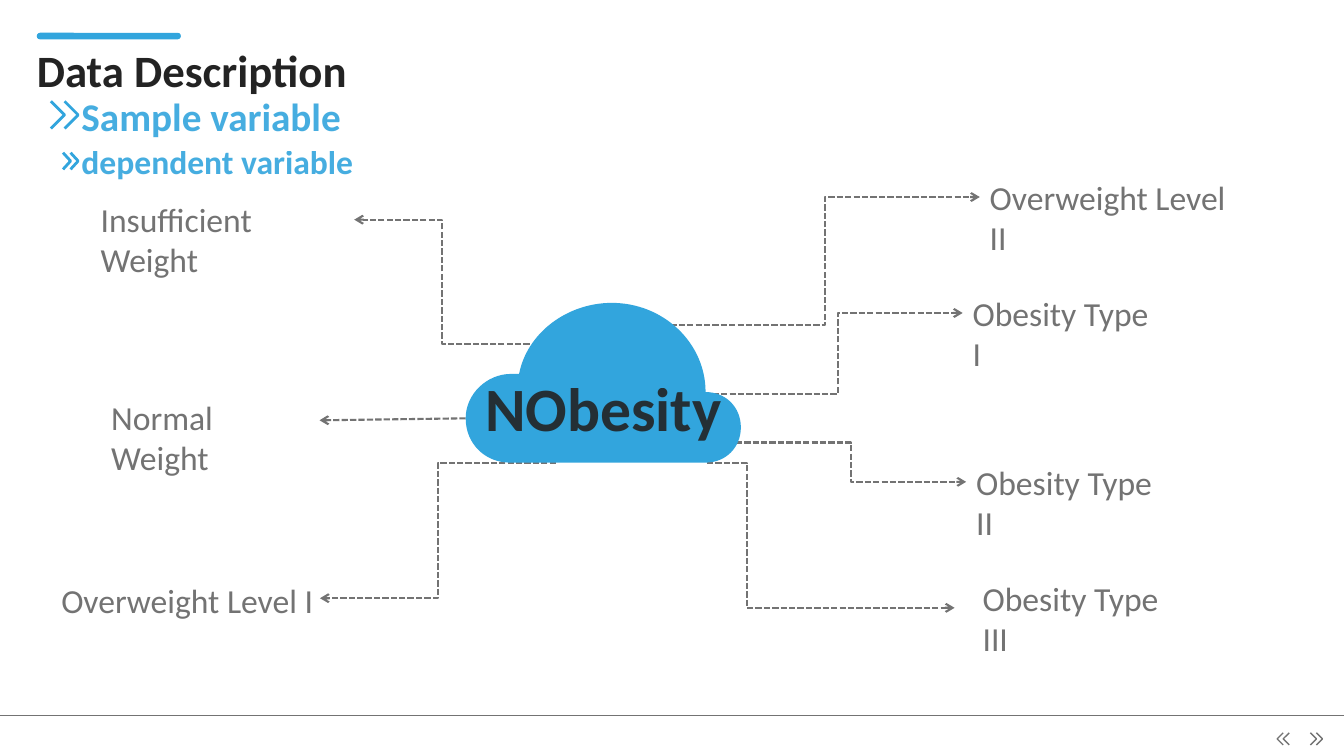
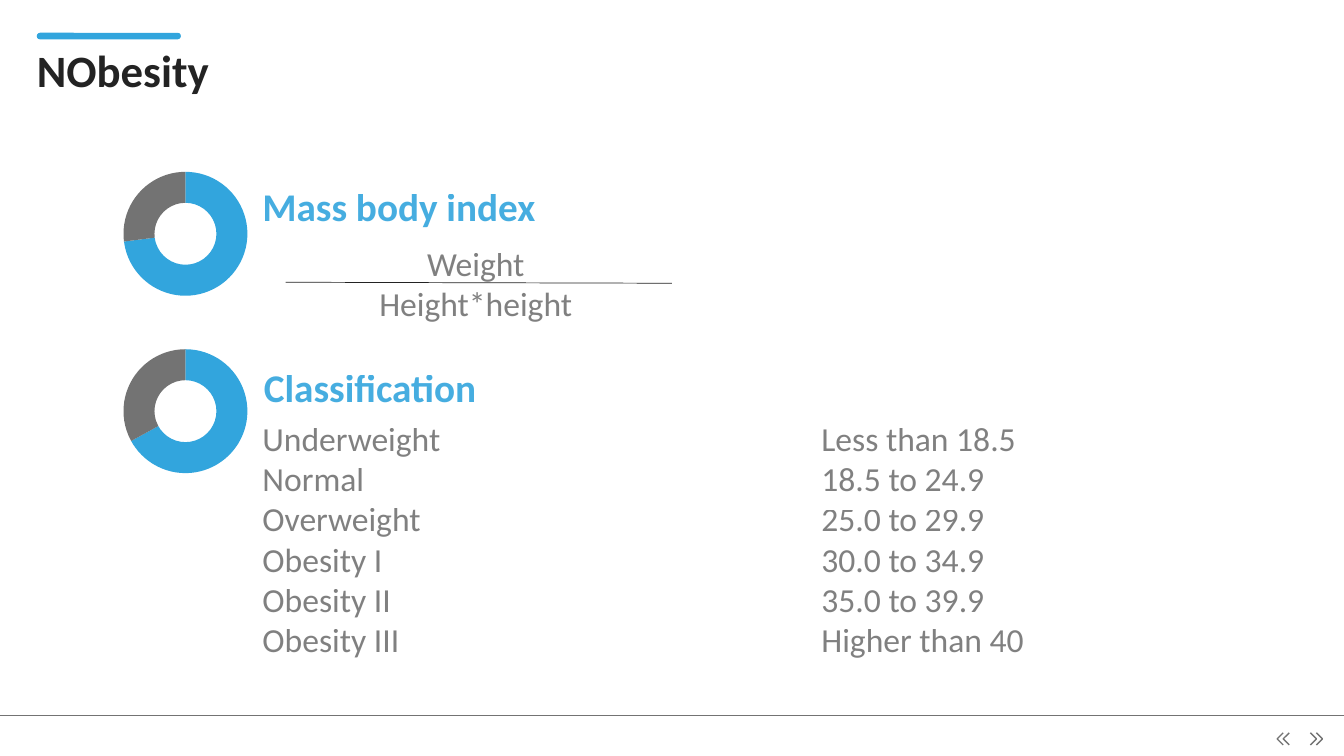
from dataclasses import dataclass
from typing import Any, NamedTuple, Optional

from lxml.etree import SubElement
from pptx import Presentation
from pptx.chart.data import CategoryChartData
from pptx.dml.color import RGBColor
from pptx.enum.chart import XL_CHART_TYPE
from pptx.enum.dml import MSO_LINE
from pptx.enum.shapes import MSO_CONNECTOR, MSO_SHAPE
from pptx.enum.text import MSO_ANCHOR, MSO_AUTO_SIZE, PP_ALIGN
from pptx.oxml import parse_xml
from pptx.oxml.ns import nsdecls, qn
from pptx.util import Emu, Inches, Pt

COLUMNS, ROWS = 133.33, 75  # a grid of square cells


def grid(cells: float) -> Emu:
    return Emu(round(cells * Inches(0.1)))


@dataclass(frozen=True)
class TextStyle:
    size: int
    color: str
    bold: bool = False
    opacity: int = 100

    def font_values(self) -> dict[str, Any]:
        return {"name": THEME.font, "size": Pt(self.size), "bold": self.bold}


@dataclass(frozen=True)
class Theme:
    font: str = "Calibri"
    accent: str = "32A5DD"
    gray: str = "737373"
    dark: str = "232323"
    title: TextStyle = TextStyle(32, dark, True)
    hero: TextStyle = TextStyle(44, dark, True, 90)
    heading: TextStyle = TextStyle(28, accent, True, 90)
    subheading: TextStyle = TextStyle(24, accent, True, 90)
    label: TextStyle = TextStyle(24, gray)
    body: TextStyle = TextStyle(24, gray, False, 90)


THEME = Theme()


class Box(NamedTuple):
    left: float
    top: float
    width: float
    height: float

    def emu(self) -> list[Emu]:
        return [grid(value) for value in self]


class Point(NamedTuple):
    x: float
    y: float


class Branch(NamedTuple):
    """A label and the arrow that reaches it from the cloud."""
    text: str
    box: Box
    start: Point
    end: Point
    joined: bool = False
    kind: Any = MSO_CONNECTOR.ELBOW
    bend: Optional[int] = None


class Chevrons(NamedTuple):
    left: float
    top: float
    width: float
    height: float
    color: str
    weight: float
    backward: bool = False


class Donut(NamedTuple):
    box: Box
    values: tuple[int, int]


FOOTER_CHEVRONS = (
    Chevrons(126.7, 72.7, 0.6, 1.2, THEME.gray, 1, True),
    Chevrons(130, 72.7, 0.6, 1.2, THEME.gray, 1),
)
HEADING_CHEVRONS = (
    Chevrons(5.05, 10.05, 1.35, 2.7, THEME.accent, 2),
    Chevrons(6.25, 15.15, 0.75, 1.65, THEME.accent, 2),
)
BRANCHES = (
    Branch("Insufficient Weight", Box(9, 19.2, 26, 5), Point(52.55, 34.1), Point(35.15, 21.8)),
    Branch("Normal Weight", Box(10.05, 38.9, 21, 5), Point(46.2, 41.5), Point(31.7, 41.7),
           kind=MSO_CONNECTOR.STRAIGHT),
    Branch("Overweight Level I", Box(5.1, 57, 28, 5), Point(55.15, 45.9), Point(31.75, 59.35)),
    Branch("Overweight Level II", Box(97.2, 17.05, 26.5, 5), Point(66.5, 32.25),
           Point(97.2, 19.55), True),
    Branch("Obesity Type I", Box(95.5, 28.55, 20, 5), Point(70.7, 39.1),
           Point(95.5, 31.05), True),
    Branch("Obesity Type II", Box(95.85, 45.3, 20.5, 5), Point(73, 43.9),
           Point(95.85, 47.8), True),
    Branch("Obesity Type III", Box(96.5, 56.8, 21, 5), Point(70.15, 45.9), Point(94.7, 60.3),
           bend=16000),
)
CLOUD_START = Point(50.6, 45.9)
CLOUD_CURVES = (
    (Point(70, 45.9),) * 3,
    (Point(72, 45.9), Point(73.5, 44.4), Point(73.5, 42.4)),
    (Point(73.5, 40.4), Point(72, 38.9), Point(70, 38.9)),
    (Point(70, 34), Point(65.8, 30.05), Point(60.7, 30.05)),
    (Point(56.3, 30.05), Point(52.3, 33), Point(51.5, 37.1)),
    (Point(50.7, 37.1),) * 3,
    (Point(48.3, 37.1), Point(46.2, 39.1), Point(46.2, 41.5)),
    (Point(46.2, 44), Point(48.1, 45.9), CLOUD_START),
)
DONUTS = (
    Donut(Box(7.4, 15.7, 22, 15), (73, 27)),
    Donut(Box(7.4, 33.3, 22, 15), (67, 33)),
)
CLASSES = (
    ("Underweight", "Less than 18.5"),
    ("Normal", "18.5 to 24.9"),
    ("Overweight", "25.0 to 29.9"),
    ("Obesity I", "30.0 to 34.9"),
    ("Obesity II", "35.0 to 39.9"),
    ("Obesity III", "Higher than 40"),
)


def fill_text(shape: Any, lines: list[str], style: TextStyle, align: Any = PP_ALIGN.LEFT,
              wrap: bool = True, tab: Optional[float] = None) -> None:
    frame = shape.text_frame
    frame_values = {"word_wrap": wrap, "auto_size": MSO_AUTO_SIZE.NONE,
                    "vertical_anchor": MSO_ANCHOR.TOP}
    for name, value in frame_values.items():
        setattr(frame, name, value)
    for index, line in enumerate(lines):
        paragraph = frame.add_paragraph() if index else frame.paragraphs[0]
        paragraph.alignment = align
        if tab is not None:
            tabs = SubElement(paragraph._p.get_or_add_pPr(), qn("a:tabLst"))
            SubElement(tabs, qn("a:tab"), pos=str(grid(tab)), algn="l")
        run = paragraph.add_run()
        run.text = line
        for name, value in style.font_values().items():
            setattr(run.font, name, value)
        run.font.color.rgb = RGBColor.from_string(style.color)
        if style.opacity < 100:
            for color in run._r.iter(qn("a:srgbClr")):
                SubElement(color, qn("a:alpha"), val=str(style.opacity * 1000))


def add_text(slide: Any, box: Box, lines: list[str], style: TextStyle, **options: Any) -> Any:
    shape = slide.shapes.add_textbox(*box.emu())
    fill_text(shape, lines, style, **options)
    return shape


def set_line(line: Any, color: str, weight: float) -> None:
    line.color.rgb = RGBColor.from_string(color)
    line.width = Pt(weight)


def fill_plain(shape: Any, color: str) -> None:
    shape.shadow.inherit = False
    shape.fill.solid()
    shape.fill.fore_color.rgb = RGBColor.from_string(color)
    shape.line.fill.background()


def add_line(slide: Any, start: Point, end: Point, color: str, weight: float,
             kind: Any = MSO_CONNECTOR.STRAIGHT) -> Any:
    connector = slide.shapes.add_connector(kind, *(grid(value) for value in start + end))
    set_line(connector.line, color, weight)
    SubElement(connector._element.spPr, qn("a:effectLst"))
    return connector


def add_outline(slide: Any, points: list[Point], close: bool) -> Any:
    corners = [(grid(point.x), grid(point.y)) for point in points]
    builder = slide.shapes.build_freeform(*corners[0])
    builder.add_line_segments(corners[1:], close=close)
    return builder.convert_to_shape()


def add_chevrons(slide: Any, mark: Chevrons) -> None:
    for index in range(2):
        near = mark.left + index * mark.width
        far = near + mark.width
        if mark.backward:
            near, far = far, near
        shape = add_outline(slide, [Point(near, mark.top + mark.height),
                                    Point(far, mark.top + mark.height / 2),
                                    Point(near, mark.top)], close=False)
        shape.shadow.inherit = False
        shape.fill.background()
        set_line(shape.line, mark.color, mark.weight)


def add_curved_outline(slide: Any, start: Point, curves: tuple) -> Any:
    """Draw a chain of cubic curves; each curve holds two handles and its end."""
    shape = add_outline(slide, [start, *(point for curve in curves for point in curve)],
                        close=True)
    segments = list(shape._element.iter(qn("a:lnTo")))[:3 * len(curves)]
    for first in range(0, len(segments), 3):
        curve = segments[first].makeelement(qn("a:cubicBezTo"))
        segments[first].addprevious(curve)
        for segment in segments[first:first + 3]:
            curve.append(segment[0])
            segment.getparent().remove(segment)
    return shape


def add_branch(slide: Any, branch: Branch) -> None:
    label = add_text(slide, branch.box, [branch.text], THEME.label)
    arrow = add_line(slide, branch.start, branch.end, THEME.gray, 1.5, branch.kind)
    arrow.line.dash_style = MSO_LINE.SQUARE_DOT
    SubElement(arrow.line._get_or_add_ln(), qn("a:tailEnd"), type="arrow")
    if branch.bend is not None:
        for adjustments in arrow._element.iter(qn("a:avLst")):
            SubElement(adjustments, qn("a:gd"), name="adj1", fmla=f"val {branch.bend}")
    if branch.joined:
        arrow.end_connect(label, 1)


def add_donut(slide: Any, donut: Donut) -> None:
    data = CategoryChartData()
    data.categories = ["1", "2"]
    data.add_series("Series 1", donut.values)
    chart = slide.shapes.add_chart(XL_CHART_TYPE.DOUGHNUT, *donut.box.emu(), data).chart
    chart.has_title = chart.has_legend = False
    chart.font.name, chart.font.size = THEME.font, Pt(10)
    chart.font.color.rgb = RGBColor.from_string(THEME.dark)
    plot = chart.plots[0]
    plot.vary_by_categories = False
    plot.has_data_labels = False
    for index, color in enumerate((THEME.accent, THEME.gray)):
        point = plot.series[0].points[index].format
        point.fill.solid()
        point.fill.fore_color.rgb = RGBColor.from_string(color)
        point.line.fill.background()
    for hole in chart._chartSpace.iter(qn("c:holeSize")):
        hole.set("val", "75")
    area = chart._chartSpace.find(".//" + qn("c:plotArea"))
    for layout in area.findall(qn("c:layout")):
        area.remove(layout)
    ring = {"x": 0.22, "y": 0.09, "w": 0.56, "h": 0.82}
    sizes = "".join(f'<c:{name} val="{share}"/>' for name, share in ring.items())
    area.insert(0, parse_xml(
        f'<c:layout {nsdecls("c")}><c:manualLayout><c:layoutTarget val="inner"/>'
        f'<c:xMode val="edge"/><c:yMode val="edge"/>{sizes}</c:manualLayout></c:layout>'))


def add_titled_slide(presentation: Any, title: str) -> Any:
    """Add a slide with the title, accent bar and footer that all slides share."""
    slide = presentation.slides.add_slide(presentation.slide_layouts[5])
    holder = slide.shapes.title
    holder.left, holder.top, holder.width, holder.height = Box(2.65, 4.35, 41.4, 3.8).emu()
    fill_text(holder, [title], THEME.title, align=PP_ALIGN.JUSTIFY)
    holder.text_frame.paragraphs[0].line_spacing = 0.9
    add_line(slide, Point(0, 71), Point(COLUMNS, 71), THEME.gray, 0.5)
    for mark in FOOTER_CHEVRONS:
        add_chevrons(slide, mark)
    bar = slide.shapes.add_shape(MSO_SHAPE.ROUNDED_RECTANGLE, *Box(3.65, 3.25, 14.3, 0.65).emu())
    bar.adjustments[0] = 0.5
    fill_plain(bar, THEME.accent)
    return slide


def add_variable_slide(presentation: Any) -> None:
    slide = add_titled_slide(presentation, "Data Description")
    for branch in BRANCHES:
        add_branch(slide, branch)
    fill_plain(add_curved_outline(slide, CLOUD_START, CLOUD_CURVES), THEME.accent)
    add_text(slide, Box(47.15, 36.2, 25.7, 8.4), ["NObesity"], THEME.hero, wrap=False)
    add_text(slide, Box(7.1, 8.65, 28.1, 5.7), ["Sample variable"], THEME.heading, wrap=False)
    add_text(slide, Box(7.1, 13.5, 29.3, 5), ["dependent variable"], THEME.subheading,
             wrap=False)
    for mark in HEADING_CHEVRONS:
        add_chevrons(slide, mark)


def add_index_slide(presentation: Any) -> None:
    slide = add_titled_slide(presentation, "NObesity")
    for donut in DONUTS:
        add_donut(slide, donut)
    add_text(slide, Box(25.05, 17.6, 29.4, 5.7), ["Mass body index"], THEME.heading, wrap=False)
    add_text(slide, Box(24.95, 23.6, 44.5, 11.6), ["Weight", "Height*height"], THEME.body,
             align=PP_ALIGN.CENTER)
    add_text(slide, Box(25.2, 35.6, 23.4, 5.7), ["Classification"], THEME.heading, wrap=False)
    add_text(slide, Box(25.05, 40.95, 93.8, 25.2), ["\t".join(row) for row in CLASSES],
             THEME.body, tab=55.45)
    add_line(slide, Point(28.35, 28), Point(66.65, 28.1), THEME.dark, 0.5)


def main() -> None:
    presentation = Presentation()
    presentation.slide_width, presentation.slide_height = grid(COLUMNS), grid(ROWS)
    add_variable_slide(presentation)
    add_index_slide(presentation)
    presentation.save("out.pptx")


if __name__ == "__main__":
    main()
